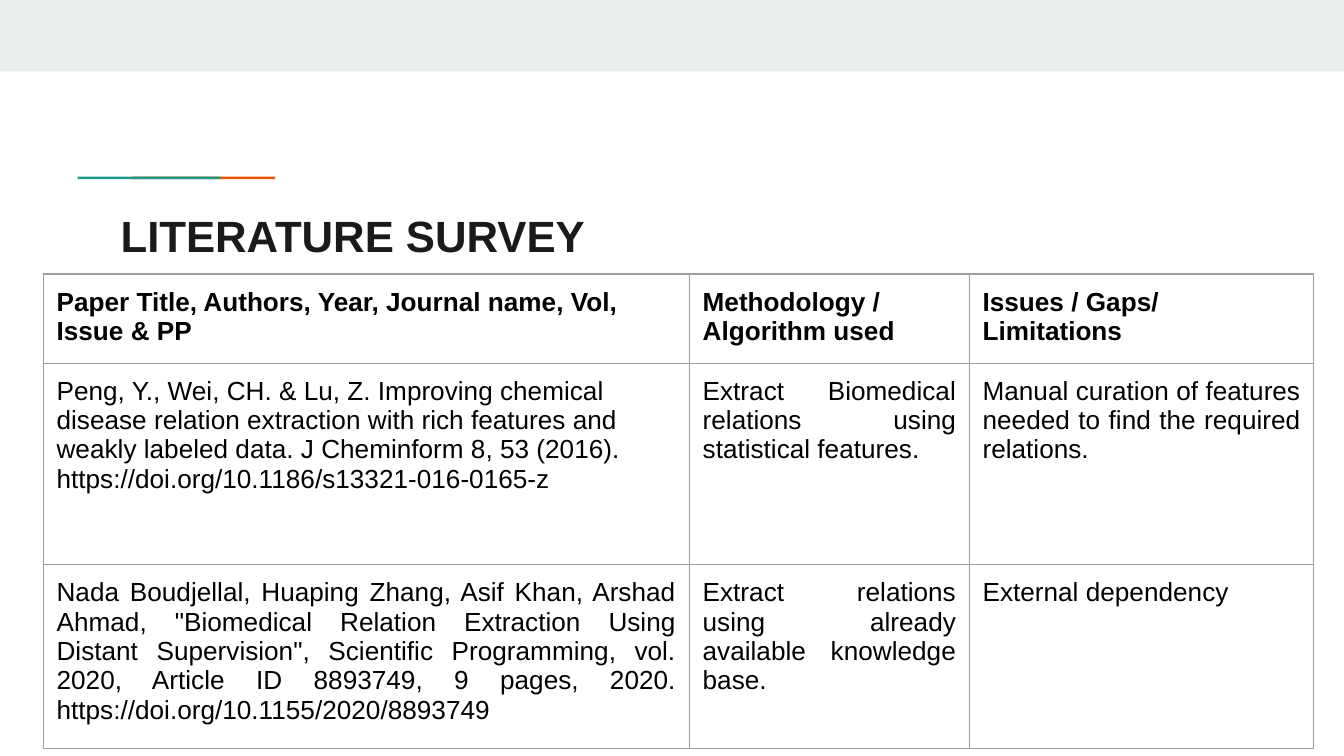
from pptx import Presentation
from pptx.dml.color import RGBColor
from pptx.enum.shapes import MSO_SHAPE
from pptx.enum.text import MSO_ANCHOR, PP_ALIGN as AL
from pptx.oxml import parse_xml
from pptx.oxml.ns import nsdecls
from pptx.util import Cm, Pt

INSET = Cm(0.25)
COLUMNS = [12.21, 5.29, 6.51]
ROWS = [1.37, 3.81, 3.33]
SURVEY = [
    ["Paper Title, Authors, Year, Journal name, Vol, Issue & PP",
     "Methodology / Algorithm used",
     "Issues / Gaps/ Limitations"],
    ["Peng, Y., Wei, CH. & Lu, Z. Improving chemical disease relation extraction "
     "with rich features and weakly labeled data. J Cheminform 8, 53 (2016). "
     "https://doi.org/10.1186/s13321-016-0165-z",
     "Extract Biomedical relations using statistical features.",
     "Manual curation of features needed to find the required relations."],
    ["Nada Boudjellal, Huaping Zhang, Asif Khan, Arshad Ahmad, \"Biomedical Relation "
     "Extraction Using Distant Supervision\", Scientific Programming, vol. 2020, "
     "Article ID 8893749, 9 pages, 2020. https://doi.org/10.1155/2020/8893749",
     "Extract relations using already available knowledge base.",
     "External dependency"],
]
ALIGNMENT = [[AL.LEFT] * 3, [AL.LEFT, AL.JUSTIFY, AL.JUSTIFY], [AL.JUSTIFY] * 3]


def rgb(color):
    return RGBColor.from_string(color)


def write(tf, text, size=14, color="000000", bold=False, align=AL.LEFT):
    tf.word_wrap = True
    p = tf.paragraphs[0]
    p.alignment = align
    r = p.add_run()
    r.text = text
    r.font.name = "Arial"
    r.font.size = Pt(size)
    r.font.bold = bold
    r.font.color.rgb = rgb(color)


def add_bar(s, left, top, width, height, color):
    sp = s.shapes.add_shape(MSO_SHAPE.RECTANGLE, Cm(left), Cm(top), Cm(width), Cm(height))
    sp.shadow.inherit = False
    sp.fill.solid()
    sp.fill.fore_color.rgb = rgb(color)
    sp.line.fill.background()


def add_accent(s, left, top, width, height):
    """Two equal bars, the teal one overlapping the orange one."""
    bar = 2.7
    add_bar(s, left + width - bar, top, bar, height, "EB5600")
    add_bar(s, left, top, bar, height, "1A9988")


def add_title(s, left, top, width, height):
    tf = s.shapes.add_textbox(Cm(left), Cm(top), Cm(width), Cm(height)).text_frame
    tf.margin_left = tf.margin_right = tf.margin_top = tf.margin_bottom = INSET
    tf.vertical_anchor = MSO_ANCHOR.BOTTOM
    write(tf, "LITERATURE SURVEY", size=23.4, color="1A1A1A", bold=True)


def set_borders(cell, color, width):
    tcPr = cell._tc.get_or_add_tcPr()
    for i, side in enumerate(("lnL", "lnR", "lnT", "lnB")):
        tcPr.insert(i, parse_xml(
            f'<a:{side} {nsdecls("a")} w="{Pt(width)}"><a:solidFill>'
            f'<a:srgbClr val="{color}"/></a:solidFill></a:{side}>'))


def add_survey_table(s, left, top):
    table = s.shapes.add_table(len(ROWS), len(COLUMNS), Cm(left), Cm(top),
                               Cm(sum(COLUMNS)), Cm(sum(ROWS))).table
    table.horz_banding = False
    for column, width in zip(table.columns, COLUMNS):
        column.width = Cm(width)
    for i, height in enumerate(ROWS):
        table.rows[i].height = Cm(height)
        for j, text in enumerate(SURVEY[i]):
            cell = table.cell(i, j)
            cell.margin_left = cell.margin_right = INSET
            cell.margin_top = cell.margin_bottom = INSET
            cell.fill.background()
            set_borders(cell, "9E9E9E", 0.75)
            write(cell.text_frame, text, bold=i == 0, align=ALIGNMENT[i][j])


def main():
    prs = Presentation()
    prs.slide_width, prs.slide_height = Cm(25.4), Cm(14.29)
    s = prs.slides.add_slide(prs.slide_layouts[6])
    add_bar(s, 0, 0, 25.4, 1.35, "E9EDEE")
    add_accent(s, 1.47, 3.34, 3.73, 0.05)
    add_title(s, 2.03, 3.68, 21.36, 1.5)
    add_survey_table(s, 0.82, 5.18)
    prs.save("out.pptx")


if __name__ == "__main__":
    main()
